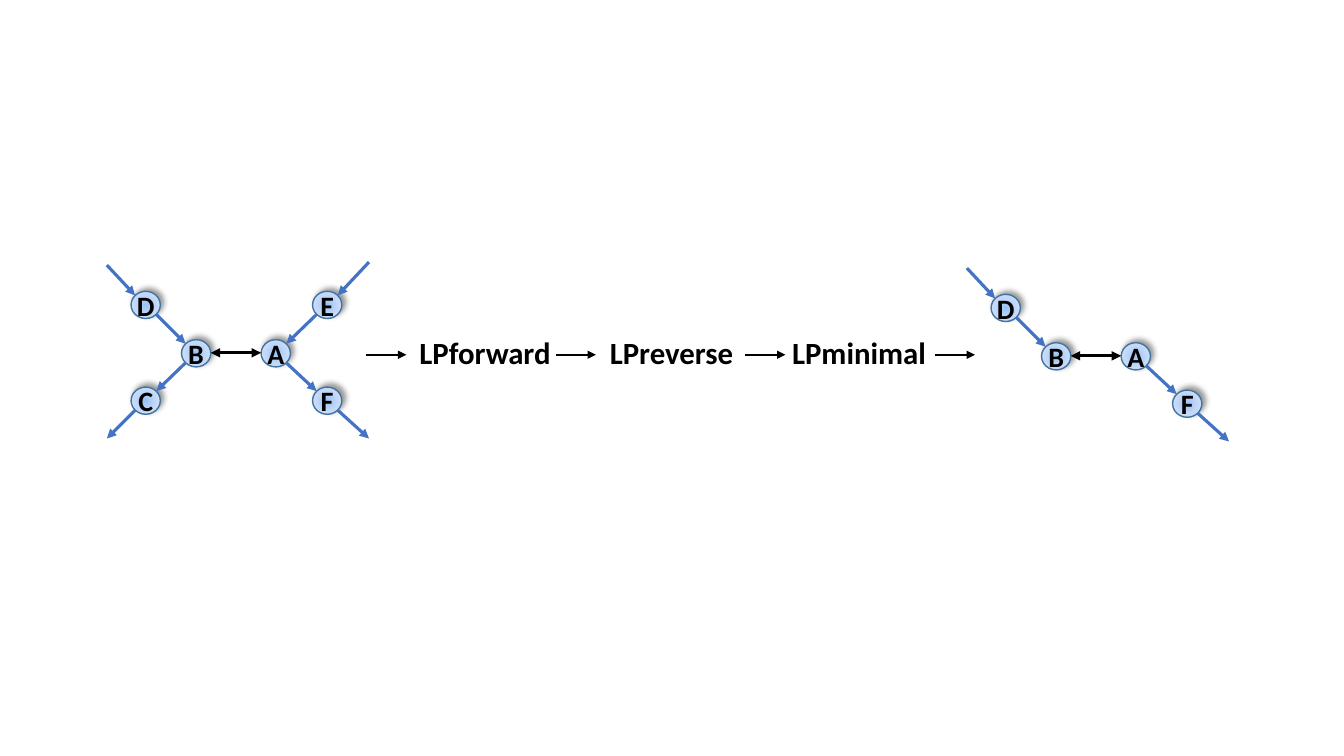
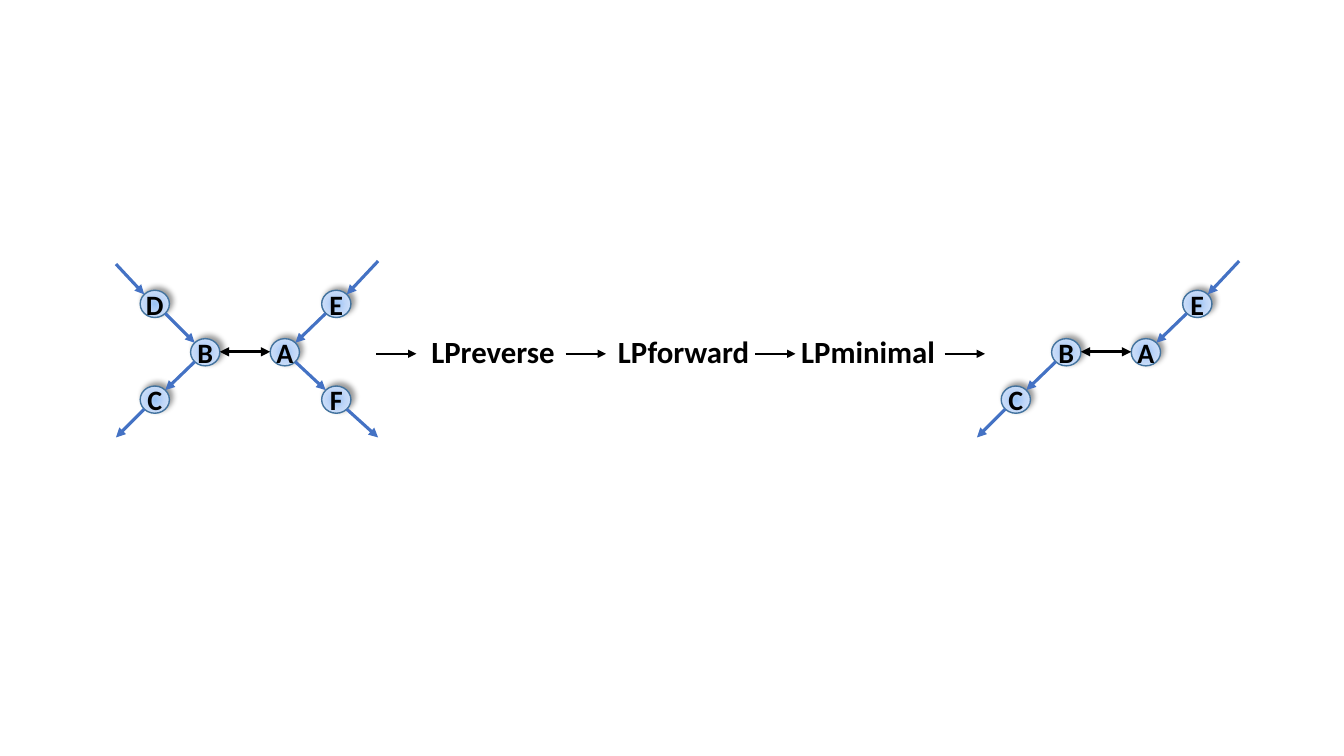
from lxml import etree
from pptx import Presentation, util as u
from pptx.dml.color import RGBColor
from pptx.enum import shapes as s, text as t
from pptx.oxml import parse_xml
from pptx.oxml.ns import nsdecls, qn

PX = 9144
SLIDE_W, SLIDE_H = 1333, 750

BLACK = RGBColor(0x00, 0x00, 0x00)
EDGE_BLUE = RGBColor(0x44, 0x72, 0xC4)
NODE_RIM = RGBColor(0x43, 0x73, 0x9E)
NODE_GLOW = [
    (0, RGBColor(0x9A, 0xC3, 0xF5)),
    (50, RGBColor(0xC2, 0xD8, 0xF8)),
    (100, RGBColor(0xE1, 0xEB, 0xFB)),
]

NODE_FONT = {"name": "Calibri", "size": u.Pt(20), "bold": True}
STEP_FONT = {"name": "Calibri", "size": u.Pt(22), "bold": True}
NODE_FRAME = {
    "margin_left": 0,
    "margin_right": 0,
    "vertical_anchor": t.MSO_ANCHOR.MIDDLE,
}
STEP_FRAME = {"word_wrap": True, "auto_size": t.MSO_AUTO_SIZE.SHAPE_TO_FIT_TEXT}

NODE_W, NODE_H = 29, 27
RIM_INSET = 4
NODES = {
    "D": (24, 29),
    "B": (74, 77),
    "A": (153, 77),
    "F": (204, 124),
    "E": (204, 29),
    "C": (24, 124),
}
EDGES = [("D", "B"), ("B", "C"), ("E", "A"), ("A", "F")]
INFLOWS = {"D": (0, 3), "E": (260, 0)}
OUTFLOWS = {"C": (0, 175), "F": (260, 175)}

ARROW_LEN, ARROW_STEP = 40, 188
STEP_W, STEP_H, STEP_RISE = 162, 47, 26

SLIDES = [
    {
        "full": (106, 260),
        "pipeline": (363, 352),
        "steps": [("LPforward", 37), ("LPreverse", 34), ("LPminimal", 32)],
        "reduced": (959, 263),
        "kept": "DBAF",
    },
    {
        "full": (115, 259),
        "pipeline": (373, 351),
        "steps": [("LPreverse", 35), ("LPforward", 36), ("LPminimal", 31)],
        "reduced": (969, 259),
        "kept": "BAEC",
    },
]


def px(*lengths):
    return [u.Emu(length * PX) for length in lengths]


def set_all(target, formats):
    for attribute, value in formats.items():
        setattr(target, attribute, value)


def write(frame, wording, frame_format, font_format):
    set_all(frame, frame_format)
    paragraph = frame.paragraphs[0]
    paragraph.alignment = t.PP_ALIGN.CENTER
    run = paragraph.add_run()
    run.text = wording
    set_all(run.font, font_format)
    run.font.color.rgb = BLACK


def add_arrow(parts, start, end, color, weight, both_ends=False):
    arrow = parts.add_connector(s.MSO_CONNECTOR.STRAIGHT, *px(*start, *end))
    arrow.line.color.rgb = color
    arrow.line.width = u.Pt(weight)
    properties = arrow._element.spPr
    outline = properties.find(qn("a:ln"))
    for tip in ["a:headEnd", "a:tailEnd"] if both_ends else ["a:tailEnd"]:
        etree.SubElement(outline, qn(tip), type="triangle")
    etree.SubElement(properties, qn("a:effectLst"))


def add_node(parts, letter, left, top):
    node = parts.add_shape(s.MSO_SHAPE.OVAL, *px(left, top, NODE_W, NODE_H))
    stops = "".join(
        f'<a:gs pos="{place * 1000}"><a:srgbClr val="{color}"/></a:gs>'
        for place, color in NODE_GLOW
    )
    glow = parse_xml(
        f'<a:gradFill {nsdecls("a")} rotWithShape="1"><a:gsLst>{stops}</a:gsLst>'
        '<a:path path="circle"><a:fillToRect l="50000" t="50000" r="50000" b="50000"/>'
        "</a:path></a:gradFill>"
    )
    properties = node._element.spPr
    properties.find(qn("a:prstGeom")).addnext(glow)
    node.line.color.rgb = NODE_RIM
    node.line.width = u.Pt(1)
    node.shadow.inherit = False
    properties.find(qn("a:effectLst")).append(parse_xml(
        f'<a:outerShdw {nsdecls("a")} blurRad="{u.Pt(4)}" dist="{u.Pt(3)}" '
        'dir="18900000" algn="bl" rotWithShape="0">'
        f'<a:srgbClr val="{BLACK}"><a:alpha val="40000"/></a:srgbClr></a:outerShdw>'
    ))
    write(node.text_frame, letter, NODE_FRAME, NODE_FONT)


def rim_toward(corner, target):
    left, top = corner
    x = left + (NODE_W - RIM_INSET if target[0] > left else RIM_INSET)
    y = top + (NODE_H - RIM_INSET if target[1] > top else RIM_INSET)
    return x, y


def add_graph(slide, origin, kept):
    def place(point):
        return origin[0] + point[0], origin[1] + point[1]

    parts = slide.shapes.add_group_shape().shapes
    corners = {letter: place(NODES[letter]) for letter in kept}
    for letter, corner in corners.items():
        add_node(parts, letter, *corner)

    for source, sink in EDGES:
        if source in corners and sink in corners:
            start = rim_toward(corners[source], corners[sink])
            end = rim_toward(corners[sink], corners[source])
            add_arrow(parts, start, end, EDGE_BLUE, 2.25)

    for letter, corner in corners.items():
        if letter in INFLOWS:
            outside = place(INFLOWS[letter])
            add_arrow(parts, outside, rim_toward(corner, outside), EDGE_BLUE, 2.25)
        if letter in OUTFLOWS:
            outside = place(OUTFLOWS[letter])
            add_arrow(parts, rim_toward(corner, outside), outside, EDGE_BLUE, 2.25)

    middle = corners["B"][1] + NODE_H // 2
    add_arrow(parts, (corners["B"][0] + NODE_W, middle), (corners["A"][0], middle),
              BLACK, 2.25, both_ends=True)


def add_pipeline(slide, origin, steps):
    left, middle = origin
    for index in range(len(steps) + 1):
        x = left + index * ARROW_STEP
        add_arrow(slide.shapes, (x, middle), (x + ARROW_LEN, middle), BLACK, 1.5)
    for index, (wording, offset) in enumerate(steps):
        x = left + index * ARROW_STEP + offset
        step = slide.shapes.add_textbox(*px(x, middle - STEP_RISE, STEP_W, STEP_H))
        write(step.text_frame, wording, STEP_FRAME, STEP_FONT)


def add_reduction_slide(deck, content):
    slide = deck.slides.add_slide(deck.slide_layouts[6])
    add_graph(slide, content["full"], NODES)
    add_pipeline(slide, content["pipeline"], content["steps"])
    add_graph(slide, content["reduced"], content["kept"])


def main():
    deck = Presentation()
    deck.slide_width, deck.slide_height = px(SLIDE_W, SLIDE_H)
    for content in SLIDES:
        add_reduction_slide(deck, content)
    deck.save("out.pptx")


if __name__ == "__main__":
    main()
